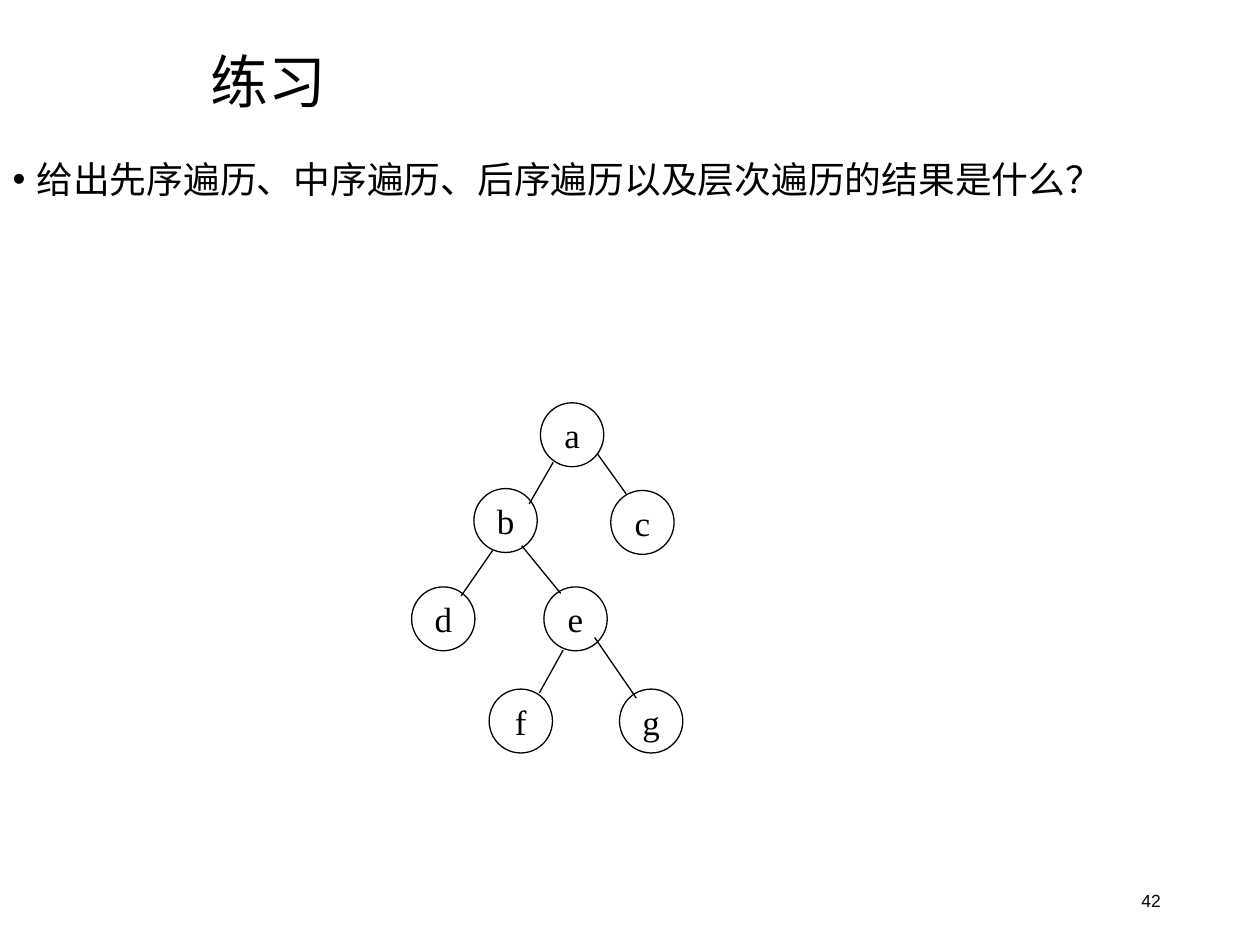
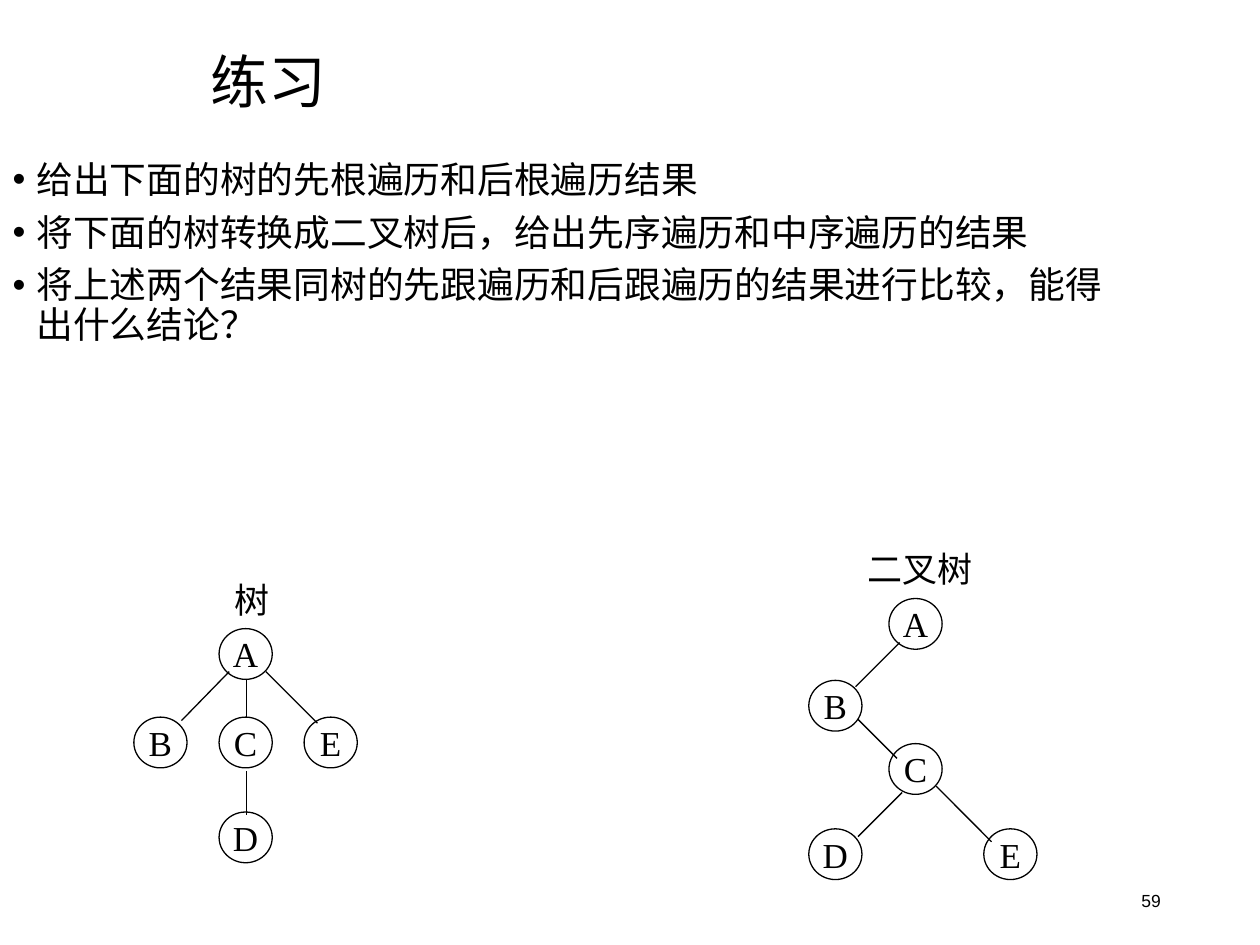
from dataclasses import dataclass

from lxml.etree import SubElement
from pptx import Presentation
from pptx.dml.color import RGBColor
from pptx.enum.shapes import MSO_CONNECTOR as Connector, MSO_SHAPE as Preset
from pptx.enum.text import MSO_ANCHOR as Anchor, MSO_AUTO_SIZE as AutoSize, PP_ALIGN as Align
from pptx.oxml.ns import qn
from pptx.shapes.shapetree import GroupShapes
from pptx.slide import Slide
from pptx.text.text import TextFrame, _Paragraph as Paragraph
from pptx.util import Pt

BLACK = RGBColor(0x00, 0x00, 0x00)
CJK = "Noto Sans CJK SC"
SERIF = "Times New Roman"
SANS = "Arial"
BULLET_INDENT = Pt(13.5)
LINE_SPACING = 0.9


@dataclass(frozen=True)
class Box:
    left: float
    top: float
    width: float
    height: float

    def lengths(self) -> tuple[Pt, Pt, Pt, Pt]:
        return Pt(self.left), Pt(self.top), Pt(self.width), Pt(self.height)


@dataclass(frozen=True)
class Node:
    letter: str
    left: float
    top: float


@dataclass(frozen=True)
class Edge:
    x1: float
    y1: float
    x2: float
    y2: float


@dataclass(frozen=True)
class Caption:
    text: str
    box: Box


@dataclass(frozen=True)
class Tree:
    node_width: float
    node_height: float
    nodes: tuple[Node, ...]
    edges: tuple[Edge, ...]
    caption: Caption | None = None


@dataclass(frozen=True)
class Exercise:
    number: int
    body_height: float
    questions: tuple[str, ...]
    trees: tuple[Tree, ...]


TITLE_BOX = Box(113.4, 25.2, 606.6, 46.8)
NUMBER_BOX = Box(508.4, 500.4, 162, 28.8)

TRAVERSAL_TREE = Tree(
    36.2, 36.5,
    (
        Node("a", 308.8, 230.2),
        Node("b", 270.8, 279.2),
        Node("c", 349, 280.3),
        Node("d", 235.2, 335.4),
        Node("e", 310.8, 335.4),
        Node("f", 279.5, 393.8),
        Node("g", 354, 393.8),
    ),
    (
        Edge(316.1, 264.2, 302.4, 288),
        Edge(281.5, 314.6, 263.5, 340.6),
        Edge(341.3, 259.2, 357.8, 282.2),
        Edge(298.1, 311.8, 320.4, 339.1),
        Edge(339.8, 364.3, 363.6, 398.9),
        Edge(321.8, 371.5, 308.2, 396),
    ),
)

GENERAL_TREE = Tree(
    30.4, 29,
    (
        Node("A", 125.2, 359.2),
        Node("B", 76.5, 409.8),
        Node("C", 125.2, 409.8),
        Node("E", 173.8, 409.8),
        Node("D", 125.2, 464),
    ),
    (
        Edge(140.9, 388.1, 140.9, 410.4),
        Edge(140.9, 440.6, 140.9, 465.8),
        Edge(131, 383.8, 103.7, 411.8),
        Edge(151.9, 383.8, 181.4, 413.3),
    ),
    Caption("树", Box(126.7, 326.9, 34.6, 31)),
)

BINARY_TREE = Tree(
    30.4, 29,
    (
        Node("A", 508, 342),
        Node("B", 462.2, 388.8),
        Node("C", 508, 424.9),
        Node("D", 462.2, 473.6),
        Node("E", 562.2, 473.6),
    ),
    (
        Edge(514.1, 367.2, 488.9, 392.4),
        Edge(490.3, 411.1, 512.6, 433.4),
        Edge(535, 449.3, 566.6, 481),
        Edge(515.5, 452.9, 490.3, 478.1),
    ),
    Caption("二叉树", Box(487, 309.6, 78, 31)),
)

EXERCISES = (
    Exercise(
        42, 96.5,
        ("给出先序遍历、中序遍历、后序遍历以及层次遍历的结果是什么？",),
        (TRAVERSAL_TREE,),
    ),
    Exercise(
        59, 175,
        (
            "给出下面的树的先根遍历和后根遍历结果",
            "将下面的树转换成二叉树后，给出先序遍历和中序遍历的结果",
            "将上述两个结果同树的先跟遍历和后跟遍历的结果进行比较，能得出什么结论？",
        ),
        (GENERAL_TREE, BINARY_TREE),
    ),
)


def write(paragraph: Paragraph, text: str, size: float, font: str) -> None:
    run = paragraph.add_run()
    run.text = text
    run.font.size = Pt(size)
    run.font.name = font
    run.font.color.rgb = BLACK
    SubElement(run.font._element, qn("a:ea")).set("typeface", CJK)


def write_centred(frame: TextFrame, text: str) -> None:
    frame.word_wrap = False
    frame.vertical_anchor = Anchor.MIDDLE
    paragraph = frame.paragraphs[0]
    paragraph.alignment = Align.CENTER
    write(paragraph, text, 20, SERIF)


def add_frame(slide: Slide, box: Box, anchor: Anchor) -> TextFrame:
    frame = slide.shapes.add_textbox(*box.lengths()).text_frame
    frame.word_wrap = True
    frame.vertical_anchor = anchor
    return frame


def add_bullet(paragraph: Paragraph) -> None:
    properties = paragraph._p.get_or_add_pPr()
    properties.set("marL", str(BULLET_INDENT))
    properties.set("indent", str(-BULLET_INDENT))
    SubElement(properties, qn("a:buFont")).set("typeface", SANS)
    SubElement(properties, qn("a:buChar")).set("char", "•")


def add_title(slide: Slide) -> None:
    heading = add_frame(slide, TITLE_BOX, Anchor.MIDDLE).paragraphs[0]
    heading.line_spacing = LINE_SPACING
    write(heading, "练习", 33, CJK)


def add_number(slide: Slide, number: int) -> None:
    page = add_frame(slide, NUMBER_BOX, Anchor.MIDDLE).paragraphs[0]
    page.alignment = Align.RIGHT
    write(page, str(number), 10, SANS)


def add_questions(slide: Slide, exercise: Exercise) -> None:
    frame = add_frame(slide, Box(0.2, 88.8, 646.6, exercise.body_height), Anchor.TOP)
    for index, question in enumerate(exercise.questions):
        paragraph = frame.add_paragraph() if index else frame.paragraphs[0]
        add_bullet(paragraph)
        paragraph.line_spacing = LINE_SPACING
        if index:
            paragraph.space_before = Pt(7.5)
        write(paragraph, question, 21, CJK)


def add_node(shapes: GroupShapes, node: Node, tree: Tree) -> None:
    box = Box(node.left, node.top, tree.node_width, tree.node_height)
    circle = shapes.add_shape(Preset.OVAL, *box.lengths())
    circle.shadow.inherit = False
    circle.fill.background()
    circle.line.color.rgb = BLACK
    circle.line.width = Pt(0.75)
    write_centred(circle.text_frame, node.letter)


def add_edge(shapes: GroupShapes, edge: Edge) -> None:
    branch = shapes.add_connector(
        Connector.STRAIGHT, Pt(edge.x1), Pt(edge.y1), Pt(edge.x2), Pt(edge.y2)
    )
    branch.line.color.rgb = BLACK
    branch.line.width = Pt(0.75)
    SubElement(branch._element.spPr, qn("a:effectLst"))


def add_tree(slide: Slide, tree: Tree) -> None:
    shapes = slide.shapes.add_group_shape().shapes
    for node in tree.nodes:
        add_node(shapes, node, tree)
    for edge in tree.edges:
        add_edge(shapes, edge)
    if tree.caption:
        frame = shapes.add_textbox(*tree.caption.box.lengths()).text_frame
        frame.auto_size = AutoSize.SHAPE_TO_FIT_TEXT
        write_centred(frame, tree.caption.text)


def main() -> None:
    deck = Presentation()
    deck.slide_width, deck.slide_height = Pt(720), Pt(540)
    for exercise in EXERCISES:
        slide = deck.slides.add_slide(deck.slide_layouts[6])
        add_number(slide, exercise.number)
        add_title(slide)
        add_questions(slide, exercise)
        for tree in exercise.trees:
            add_tree(slide, tree)
    deck.save("out.pptx")


if __name__ == "__main__":
    main()
